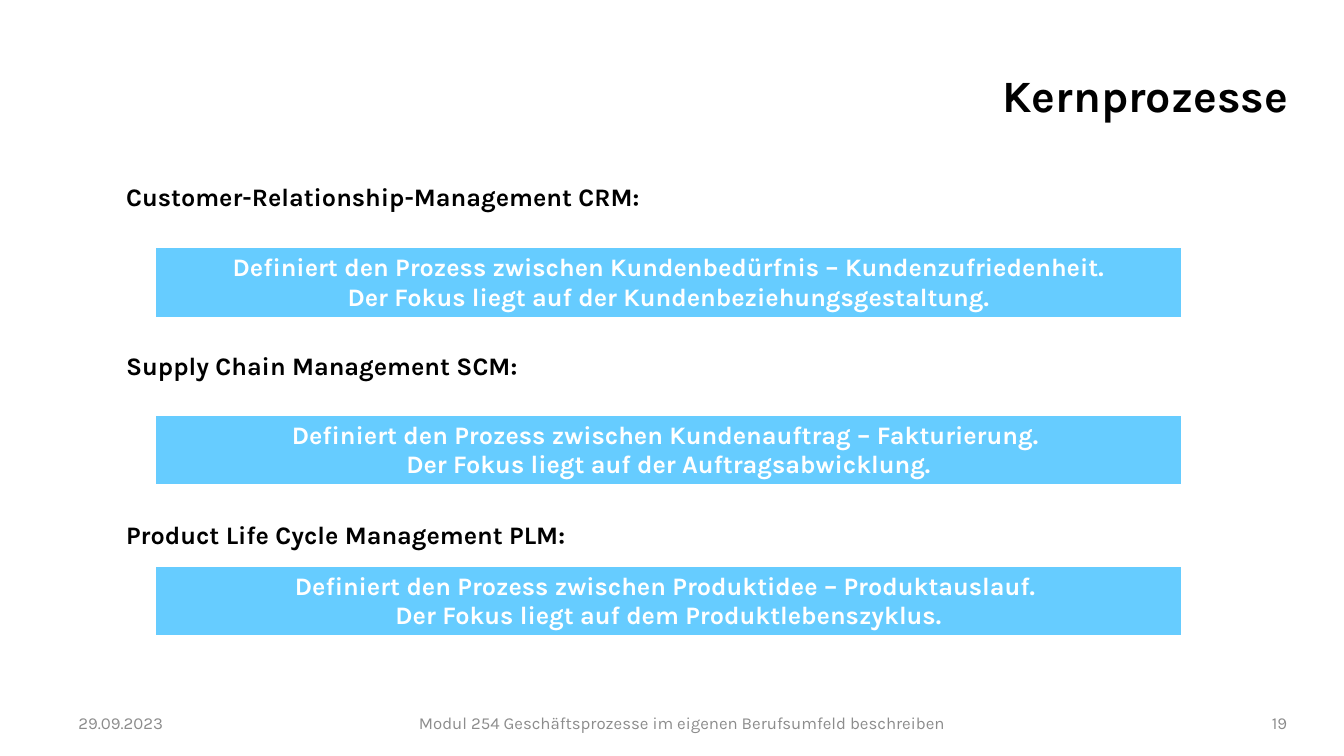
from lxml import etree
from pptx import Presentation
from pptx.dml.color import RGBColor
from pptx.enum.text import MSO_ANCHOR, PP_ALIGN
from pptx.oxml.ns import qn
from pptx.util import Pt

LEFT, CENTER, RIGHT = PP_ALIGN.LEFT, PP_ALIGN.CENTER, PP_ALIGN.RIGHT
TOP, MIDDLE = MSO_ANCHOR.TOP, MSO_ANCHOR.MIDDLE

BLACK = RGBColor(0x00, 0x00, 0x00)
WHITE = RGBColor(0xFF, 0xFF, 0xFF)
GREY = RGBColor(0x8C, 0x8C, 0x8C)
SKY = RGBColor(0x66, 0xCC, 0xFF)
FONT = "Karla"

HEADINGS = [
    "Customer-Relationship-Management CRM:",
    "Supply Chain Management SCM:",
    "Product Life Cycle Management PLM:",
]
HEADING_GAP = 99

# top of the box, its two lines
DEFINITIONS = [
    (177, ["Definiert den Prozess zwischen Kundenbedürfnis – Kundenzufriedenheit.",
           "Der Fokus liegt auf der Kundenbeziehungsgestaltung."]),
    (296.5, ["Definiert den Prozess zwischen Kundenauftrag – Fakturierung. ",
             "Der Fokus liegt auf der Auftragsabwicklung."]),
    (404.5, ["Definiert den Prozess zwischen Produktidee – Produktauslauf. ",
             "Der Fokus liegt auf dem Produktlebenszyklus."]),
]

# left, width, alignment, text
FOOTER = [
    (49, 113, LEFT, "29.09.2023"),
    (175.5, 623.5, CENTER, "Modul 254 Geschäftsprozesse im eigenen Berufsumfeld beschreiben"),
    (813.5, 113, RIGHT, "19"),
]


def write_lines(tf, lines, size, color, bold, align):
    for i, line in enumerate(lines):
        p = tf.paragraphs[0] if i == 0 else tf.add_paragraph()
        p.text = line
        p.alignment = align
        p.font.name = FONT
        p.font.size = Pt(size)
        p.font.bold = bold
        p.font.color.rgb = color


def add_text(s, box, lines, size, color=BLACK, bold=True, align=LEFT, anchor=TOP):
    tf = s.shapes.add_textbox(*map(Pt, box)).text_frame
    tf.word_wrap = True
    tf.vertical_anchor = anchor
    write_lines(tf, lines, size, color, bold, align)
    return tf


def set_borders(cell, color, widths):
    """Draw the cell's borders; widths are in the order left, right, top, bottom."""
    tc_pr = cell._tc.get_or_add_tcPr()
    for i, (side, width) in enumerate(zip("LRTB", widths)):
        ln = etree.Element(qn(f"a:ln{side}"), w=str(Pt(width)))
        fill = etree.SubElement(ln, qn("a:solidFill"))
        etree.SubElement(fill, qn("a:srgbClr"), val=str(color))
        tc_pr.insert(i, ln)


def add_definition(s, top, lines):
    table = s.shapes.add_table(1, 1, Pt(111), Pt(top), Pt(733), Pt(50)).table
    table.first_row = table.horz_banding = False
    cell = table.cell(0, 0)
    cell.vertical_anchor = MIDDLE
    cell.fill.solid()
    cell.fill.fore_color.rgb = SKY
    set_borders(cell, WHITE, (1, 1, 1, 3))
    write_lines(cell.text_frame, lines, 18, WHITE, True, CENTER)


def main():
    prs = Presentation()
    prs.slide_width, prs.slide_height = Pt(960), Pt(540)
    s = prs.slides.add_slide(prs.slide_layouts[6])

    title = add_text(s, (431.5, 49.5, 496, 49.5), ["Kernprozesse"], 32, align=RIGHT)
    title.paragraphs[0].line_spacing = 0.9

    for left, width, align, text in FOOTER:
        add_text(s, (left, 502, width, 28), [text], 12, GREY, False, align, MIDDLE)

    headings = add_text(s, (83, 126, 785, 358.5), HEADINGS, 18)
    for p in headings.paragraphs[1:]:
        p.space_before = Pt(HEADING_GAP)

    for top, lines in DEFINITIONS:
        add_definition(s, top, lines)

    prs.save("out.pptx")


if __name__ == "__main__":
    main()
